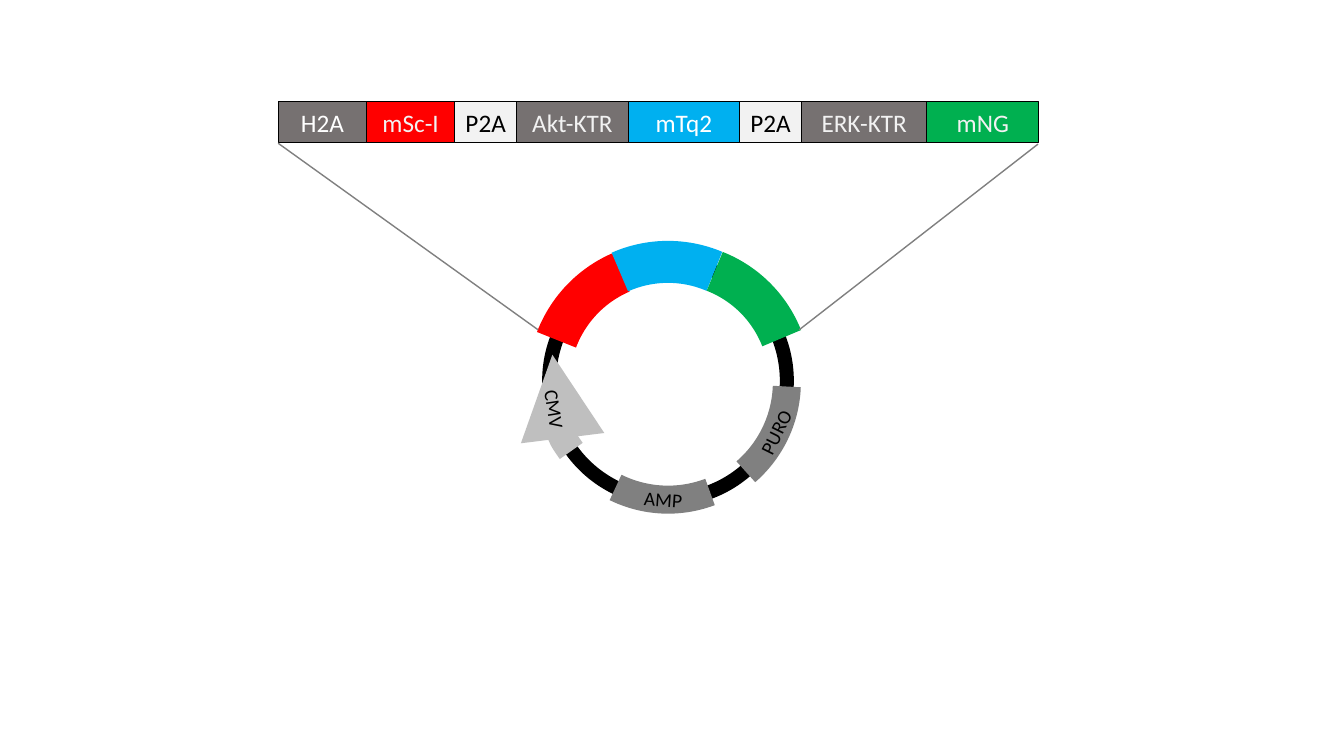
from dataclasses import dataclass

from lxml import etree
from pptx import Presentation
from pptx.dml.color import RGBColor
from pptx.enum.shapes import MSO_CONNECTOR, MSO_SHAPE
from pptx.enum.text import MSO_ANCHOR, MSO_AUTO_SIZE, PP_ALIGN
from pptx.oxml.ns import qn
from pptx.util import Cm, Pt

ARC, OVAL, RECT = MSO_SHAPE.ARC, MSO_SHAPE.OVAL, MSO_SHAPE.RECTANGLE
LINE = MSO_CONNECTOR.STRAIGHT
GROW = MSO_AUTO_SIZE.SHAPE_TO_FIT_TEXT
MIDDLE, TOP = MSO_ANCHOR.MIDDLE, MSO_ANCHOR.TOP
CENTER, LEFT = PP_ALIGN.CENTER, PP_ALIGN.LEFT


@dataclass(frozen=True)
class Theme:
    font: str = "Calibri"
    gene_size: int = 18
    label_size: int = 14
    black: str = "000000"
    white: str = "FFFFFF"
    pale: str = "F2F2F2"
    silver: str = "BFBFBF"
    gray: str = "808080"
    dark: str = "767171"
    red: str = "FF0000"
    blue: str = "00B0F0"
    green: str = "00B050"


def rgb(code):
    return RGBColor.from_string(code)


class Map:
    """Draws the parts of a plasmid map on one slide; lengths are in cm."""

    def __init__(self, slide, theme):
        self.shapes = slide.shapes
        self.theme = theme

    def stroke(self, shape, color, width):
        shape.line.color.rgb = rgb(color)
        shape.line.width = Pt(width)

    def shape(self, kind, box, color, width, turn=0):
        item = self.shapes.add_shape(kind, *map(Cm, box))
        item.shadow.inherit = False
        item.fill.background()
        item.rotation = turn
        self.stroke(item, color, width)
        return item

    def letter(self, item, text, size, color, align, anchor):
        """Put one line of text into a shape."""
        frame = item.text_frame
        frame.word_wrap = True
        frame.auto_size = GROW
        frame.vertical_anchor = anchor
        line = frame.paragraphs[0]
        line.text = text
        line.alignment = align
        line.font.name = self.theme.font
        line.font.size = Pt(size)
        line.font.color.rgb = rgb(color)

    def ring(self, box, width):
        self.shape(OVAL, box, self.theme.black, width)

    def arc(self, box, turn, color, width, span, arrow=False):
        item = self.shape(ARC, box, color, width, turn)
        for index, angle in enumerate(span):
            item.adjustments[index] = angle
        if arrow:
            line = item.get_or_add_ln()
            etree.SubElement(line, qn("a:tailEnd"), type="triangle")

    def gene(self, box, text, fill, color):
        item = self.shape(RECT, box, self.theme.black, 0.75)
        item.fill.solid()
        item.fill.fore_color.rgb = rgb(fill)
        self.letter(item, text, self.theme.gene_size, color, CENTER, MIDDLE)

    def label(self, left, top, turn, text):
        item = self.shapes.add_textbox(Cm(left), Cm(top), Cm(1.78), Cm(0.86))
        item.rotation = turn
        self.letter(item, text, self.theme.label_size, self.theme.black, LEFT, TOP)

    def leader(self, *ends):
        item = self.shapes.add_connector(LINE, *map(Cm, ends))
        self.stroke(item, self.theme.gray, 1)
        etree.SubElement(item.get_or_add_ln().getparent(), qn("a:effectLst"))


def main():
    deck = Presentation()
    deck.slide_width, deck.slide_height = Cm(33.87), Cm(19.05)
    theme = Theme()
    plasmid = Map(deck.slides.add_slide(deck.slide_layouts[6]), theme)

    # Plasmid ring with its promoter, markers and insert
    size = 5.99
    plasmid.ring((13.84, 6.6, size, size), 10)
    plasmid.arc((13.84, 6.63, size, size), 198.3, theme.silver, 20,
                (183.74, 212.97), arrow=True)
    parts = [
        (13.77, 6.68, 5.87, 289.9, theme.red, 30),
        (13.84, 6.63, size, 91.1, theme.gray, 20),
        (13.84, 6.6, size, 158.2, theme.gray, 20),
        (13.84, 6.6, size, 335, theme.blue, 30),
        (13.92, 6.63, size, 20.4, theme.green, 30),
    ]
    for left, top, height, turn, color, width in parts:
        plasmid.arc((left, top, size, height), turn, color, width,
                    (162.67, 190.8))

    plasmid.label(18.69, 10.41, 296.4, "PURO")
    plasmid.label(13.11, 10.03, 80.9, "CMV")
    plasmid.label(15.98, 12.17, 3.9, "AMP")

    # Expanded insert, laid out from left to right
    genes = [
        ("H2A", 2.23, theme.dark, theme.white),
        ("mSc-I", 2.22, theme.red, theme.pale),
        ("P2A", 1.56, theme.pale, theme.black),
        ("Akt-KTR", 2.81, theme.dark, theme.pale),
        ("mTq2", 2.81, theme.blue, theme.white),
        ("P2A", 1.56, theme.pale, theme.black),
        ("ERK-KTR", 3.16, theme.dark, theme.pale),
        ("mNG", 2.82, theme.green, theme.pale),
    ]
    left = 7.01
    for text, width, fill, color in genes:
        plasmid.gene((left, 2.57, width, 1.02), text, fill, color)
        left += width

    plasmid.leader(7.01, 3.61, 13.56, 8.31)
    plasmid.leader(26.16, 3.63, 20.14, 8.31)

    deck.save("out.pptx")


if __name__ == "__main__":
    main()
